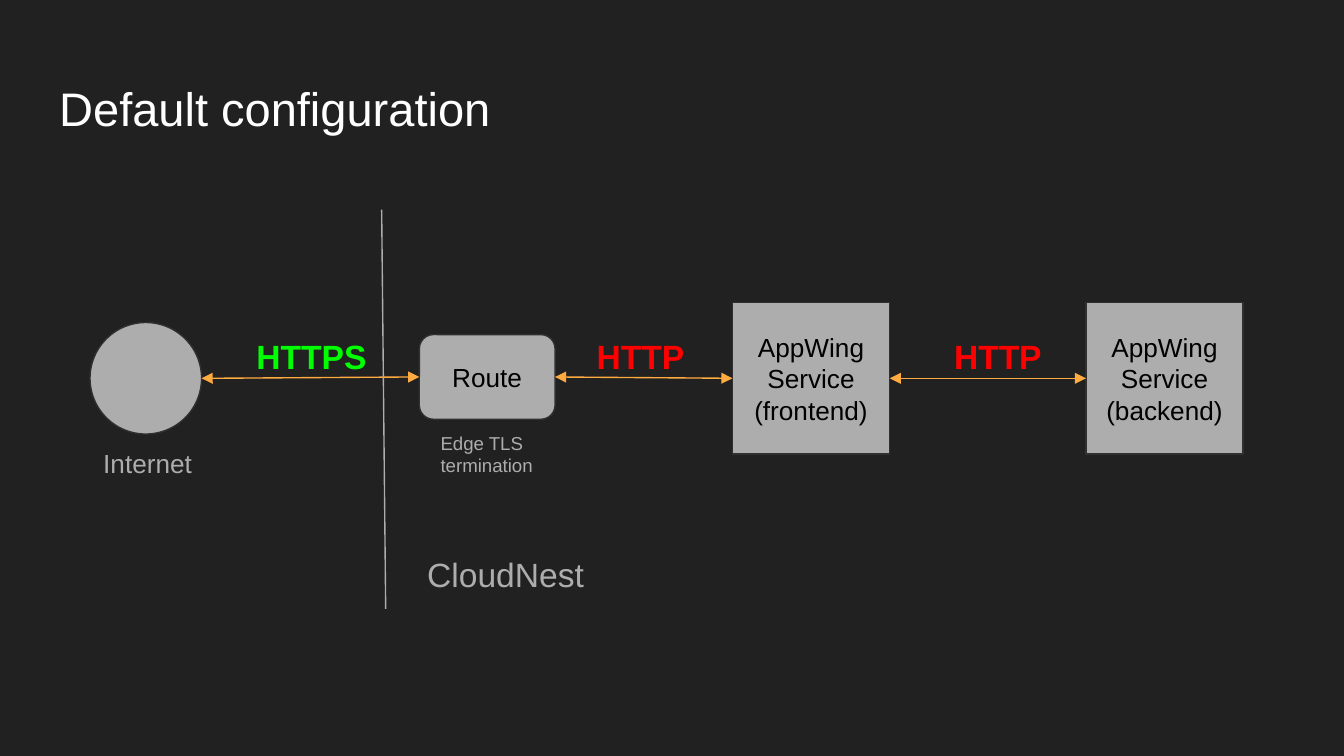
from lxml import etree
from pptx import Presentation
from pptx.dml.color import RGBColor
from pptx.enum.shapes import MSO_CONNECTOR, MSO_SHAPE
from pptx.enum.text import MSO_ANCHOR, MSO_AUTO_SIZE, PP_ALIGN
from pptx.oxml.ns import qn
from pptx.util import Inches, Pt

LINE = MSO_CONNECTOR.STRAIGHT
RECT, ROUND, OVAL = MSO_SHAPE.RECTANGLE, MSO_SHAPE.ROUNDED_RECTANGLE, MSO_SHAPE.OVAL
TOP, MIDDLE = MSO_ANCHOR.TOP, MSO_ANCHOR.MIDDLE
LEFT, CENTER = PP_ALIGN.LEFT, PP_ALIGN.CENTER
NO_FIT = MSO_AUTO_SIZE.NONE

DARK, GRAY, EDGE, ORANGE = "212121", "ADADAD", "303030", "FFAB40"
WHITE, BLACK, RED, GREEN = "FFFFFF", "000000", "FF0000", "00FF00"


def rgb(value):
    """Turn a hex string into a colour."""
    return RGBColor.from_string(value)


def set_text(s, text, size, color, bold=False, align=LEFT, anchor=TOP):
    """Write one formatted paragraph into a shape."""
    tf = s.text_frame
    tf.auto_size = NO_FIT
    tf.word_wrap = True
    tf.vertical_anchor = anchor
    tf.margin_left = tf.margin_right = tf.margin_top = tf.margin_bottom = Inches(0.1)
    p = tf.paragraphs[0]
    p.text = text
    p.alignment = align
    p.font.name = "Arial"
    p.font.size = Pt(size)
    p.font.bold = bold
    p.font.color.rgb = rgb(color)


def add_label(slide, x, y, w, h, text, size, color=GRAY, bold=False):
    """Add a text box."""
    s = slide.shapes.add_textbox(Inches(x), Inches(y), Inches(w), Inches(h))
    set_text(s, text, size, color, bold)


def add_node(slide, kind, x, y, w, h, text=""):
    """Add a gray node and return it."""
    s = slide.shapes.add_shape(kind, Inches(x), Inches(y), Inches(w), Inches(h))
    s.shadow.inherit = False
    s.fill.solid()
    s.fill.fore_color.rgb = rgb(GRAY)
    s.line.color.rgb = rgb(EDGE)
    s.line.width = Pt(0.75)
    if text:
        set_text(s, text, 14, BLACK, align=CENTER, anchor=MIDDLE)
    return s


def add_line(slide, x1, y1, x2, y2, color, arrows=False):
    """Add a thin line, with arrowheads at both ends if asked."""
    s = slide.shapes.add_connector(LINE, x1, y1, x2, y2)
    s.line.color.rgb = rgb(color)
    s.line.width = Pt(0.75)
    if arrows:
        ln = s.line._get_or_add_ln()
        for tag in ("a:headEnd", "a:tailEnd"):
            etree.SubElement(ln, qn(tag), type="triangle")
    etree.SubElement(s._element.spPr, qn("a:effectLst"))


def add_link(slide, a, b):
    """Join the facing sides of two nodes with a double arrow."""
    add_line(slide, a.left + a.width, a.top + a.height // 2,
             b.left, b.top + b.height // 2, ORANGE, arrows=True)


def add_title(slide, x, y, w, h, text):
    """Place and format the title placeholder."""
    s = slide.shapes.title
    s.left, s.top, s.width, s.height = (Inches(v) for v in (x, y, w, h))
    set_text(s, text, 25.2, WHITE)


def add_diagram(slide, x, y):
    """Draw the request path from the internet to the backend."""
    internet = add_node(slide, OVAL, x, y + 0.84, 0.83, 0.83)
    route = add_node(slide, ROUND, x + 2.45, y + 0.93, 1.01, 0.63, "Route")
    frontend, backend = (
        add_node(slide, RECT, x + dx, y + 0.69, 1.17, 1.13, f"AppWing Service ({role})")
        for dx, role in ((4.78, "frontend"), (7.41, "backend")))

    nodes = [internet, route, frontend, backend]
    for a, b in zip(nodes, nodes[1:]):
        add_link(slide, a, b)
    for dx, w, text, color in ((1.14, 1.17, "HTTPS", GREEN),
                               (3.67, 0.89, "HTTP", RED),
                               (6.33, 0.89, "HTTP", RED)):
        add_label(slide, x + dx, y + 0.84, w, 0.5, text, 18, color, bold=True)

    add_line(slide, Inches(x + 2.17), Inches(y), Inches(x + 2.2), Inches(y + 2.97), GRAY)
    add_label(slide, x, y + 1.67, 1.13, 0.38, "Internet", 14)
    add_label(slide, x + 2.51, y + 1.55, 0.89, 0.38, "Edge TLS termination", 10)
    add_label(slide, x + 2.41, y + 2.46, 5.75, 0.5, "CloudNest", 18)


def main():
    """Build and save the slide."""
    prs = Presentation()
    prs.slide_width = Inches(10)
    prs.slide_height = prs.slide_width * 9 // 16
    slide = prs.slides.add_slide(prs.slide_layouts[5])
    slide.background.fill.solid()
    slide.background.fill.fore_color.rgb = rgb(DARK)
    add_title(slide, 0.34, 0.49, 9.32, 0.63, "Default configuration")
    add_diagram(slide, 0.67, 1.56)
    prs.save("out.pptx")


if __name__ == "__main__":
    main()
